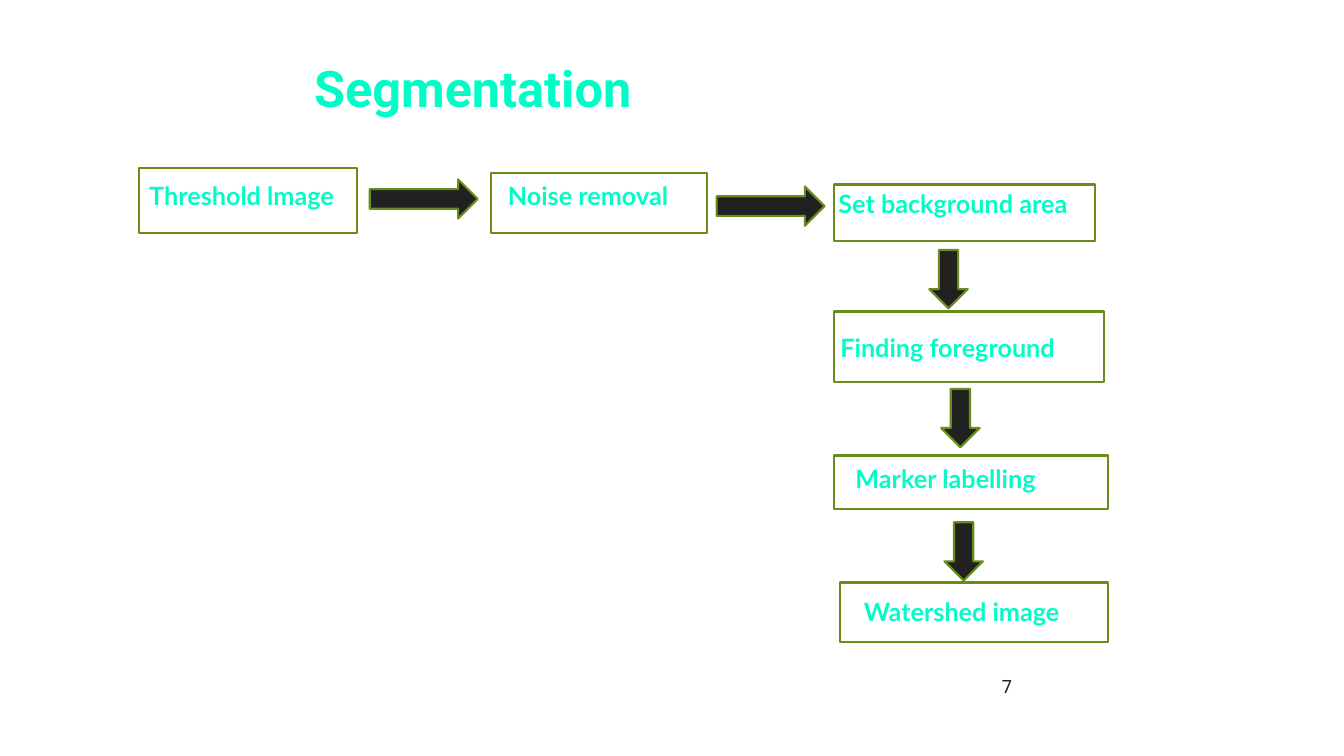
from pptx import Presentation
from pptx import util as u
from pptx.dml.color import RGBColor
from pptx.enum import shapes, text

AQUA, INK, OLIVE, WHITE = "00FDC8", "212121", "698D1B", "FFFFFF"

# Step name, box (left, top, width, height), label offset in the box, label width; all in cm
STEPS = [
    ("Threshold lmage", (3.51, 4.24, 5.49, 1.63), (0, 0.18), 5.77),
    ("Noise removal", (12.37, 4.37, 5.46, 1.5), (0.18, 0.05), 6.73),
    ("Set background area", (21.01, 4.65, 6.58, 1.42), (-0.13, -0.03), 6.73),
    ("Finding foreground", (21.01, 7.85, 6.81, 1.78), (-0.08, 0.41), 6.73),
    ("Marker labelling", (21.01, 11.48, 6.91, 1.35), (0.3, 0.08), 6.73),
    ("Watershed image", (21.16, 14.68, 6.76, 1.5), (0.36, 0.23), 5.92),
]
RIGHT, DOWN = shapes.MSO_SHAPE.RIGHT_ARROW, shapes.MSO_SHAPE.DOWN_ARROW
ARROW_SIZES = {RIGHT: (2.72, 0.99), DOWN: (0.97, 1.47)}
ARROWS = [
    (RIGHT, 9.32, 4.52),
    (RIGHT, 18.06, 4.7),
    (DOWN, 23.42, 6.3),
    (DOWN, 23.72, 9.8),
    (DOWN, 23.8, 13.16),
]


def color(hex_value):
    return RGBColor.from_string(hex_value)


def cm(box):
    return [u.Cm(length) for length in box]


def add_text(slide, box, wording, font, hex_color, align=text.PP_ALIGN.LEFT,
             anchor=text.MSO_ANCHOR.TOP):
    frame = slide.shapes.add_textbox(*cm(box)).text_frame
    frame.word_wrap = True
    frame.vertical_anchor = anchor
    line = frame.paragraphs[0]
    line.alignment = align
    run = line.add_run()
    run.text = wording
    for name, value in font.items():
        setattr(run.font, name, value)
    run.font.color.rgb = color(hex_color)


def add_outlined(slide, kind, box, fill):
    shape = slide.shapes.add_shape(kind, *cm(box))
    shape.shadow.inherit = False
    shape.fill.solid()
    shape.fill.fore_color.rgb = color(fill)
    shape.line.color.rgb = color(OLIVE)
    shape.line.width = u.Pt(1.5)


def add_step(slide, wording, box, offset, label_width):
    add_outlined(slide, shapes.MSO_SHAPE.RECTANGLE, box, WHITE)
    label = (box[0] + offset[0], box[1] + offset[1], label_width, 1.02)
    add_text(slide, label, wording,
             {"name": "Lato", "size": u.Pt(18), "bold": True}, AQUA)


def main():
    deck = Presentation()
    deck.slide_width, deck.slide_height = cm((33.87, 19.05))
    slide = deck.slides.add_slide(deck.slide_layouts[6])

    # Title
    add_text(slide, (7.67, 1.32, 18.09, 1.8), "Segmentation",
             {"name": "Roboto", "size": u.Pt(36), "bold": True}, AQUA)

    # Flow of steps
    for step in STEPS:
        add_step(slide, *step)
    for kind, left, top in ARROWS:
        add_outlined(slide, kind, (left, top, *ARROW_SIZES[kind]), INK)

    # Page number
    add_text(slide, (23.85, 16.79, 1.91, 1.02), "7",
             {"name": "Noto Sans Mono", "size": u.Pt(13)}, INK,
             text.PP_ALIGN.RIGHT, text.MSO_ANCHOR.MIDDLE)

    deck.save("out.pptx")


if __name__ == "__main__":
    main()
